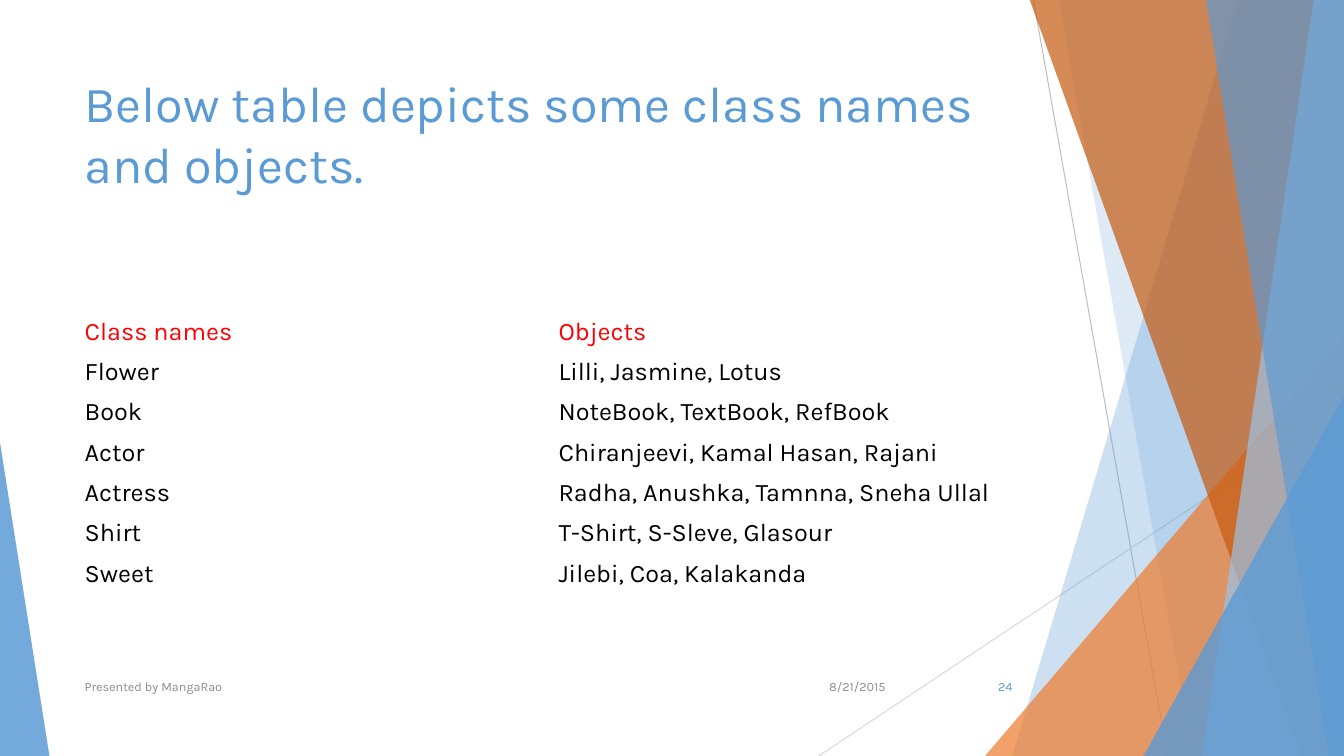
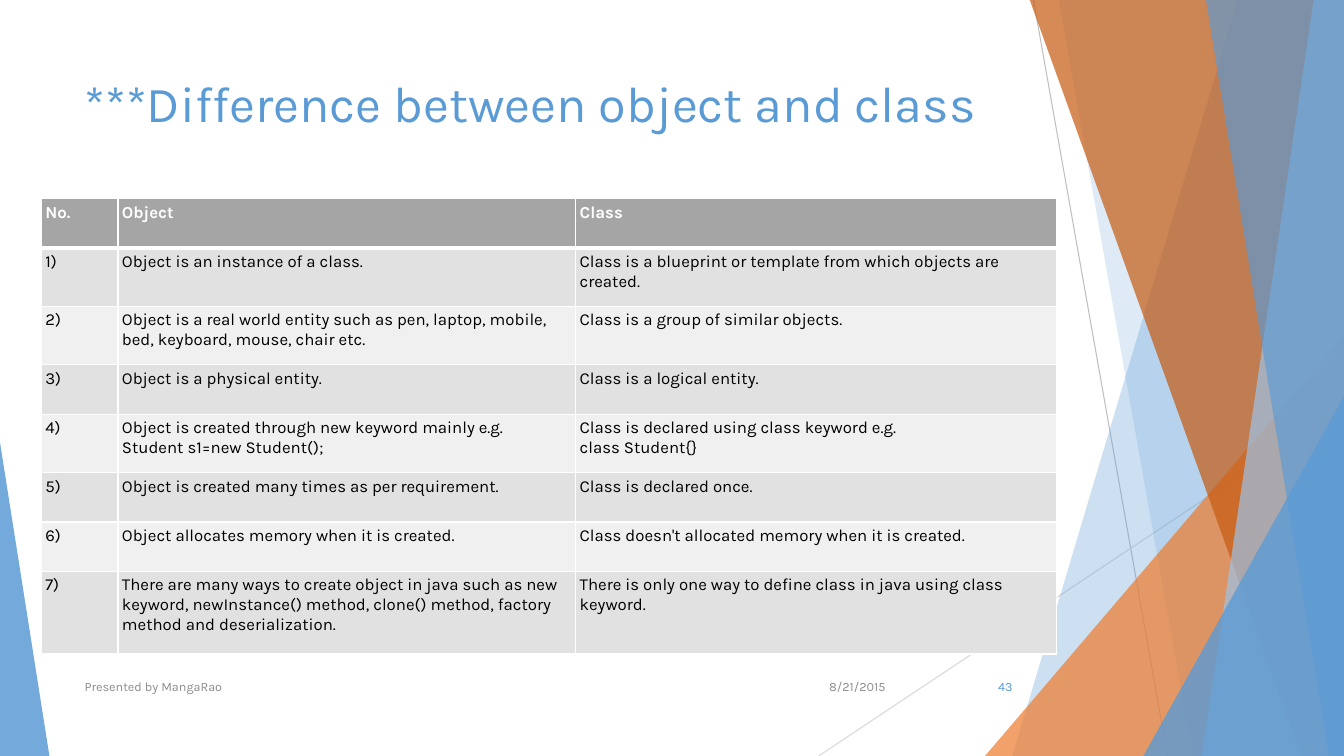
from dataclasses import dataclass

from lxml.etree import SubElement
from pptx import Presentation
from pptx.dml.color import RGBColor
from pptx.enum.shapes import MSO_CONNECTOR as Connector, MSO_SHAPE as Shape
from pptx.enum.text import MSO_ANCHOR as Anchor, PP_ALIGN as Align
from pptx.oxml.ns import qn
from pptx.util import Inches, Pt


@dataclass(frozen=True)
class Theme:
    font: str = "Karla"
    blue: str = "5B9BD5"
    sky: str = "9DC3E6"
    orange: str = "ED7D31"
    rust: str = "C55A11"
    red: str = "FF0000"
    black: str = "000000"
    white: str = "FFFFFF"
    muted: str = "8C8C8C"
    header: str = "A5A5A5"
    bands: tuple = ("E1E1E1", "F0F0F0")
    title_size: int = 36
    list_size: int = 18
    table_size: int = 12
    footer_size: int = 9


THEME = Theme()
WIDTH, HEIGHT = 13.33, 7.5
LEFT, CONTENT_WIDTH = 0.74, 9.4

RAYS = [
    ((10.25, 0), (11.58, HEIGHT), "BFBFBF"),
    ((WIDTH, 4.03), (8.12, HEIGHT), "D9D9D9"),
]
BACK_BANDS = [(12.28, 10.04, THEME.blue, 30), (10.5, 11.83, THEME.blue, 20)]
FRONT_BANDS = [
    (10.21, 12.91, THEME.rust, 70),
    (13.03, 11.92, THEME.sky, 70),
    (11.96, 13.18, THEME.blue, 65),
]
BACK_WEDGES = [(9.77, 3.33, 3.56, 1, THEME.orange, 72)]
FRONT_WEDGES = [
    (11.34, 3.93, 1.99, 1, THEME.blue, 80),
    (0, 4.39, 0.49, 0, THEME.blue, 85),
]

FOOTER_TOP, FOOTER_HEIGHT = 6.61, 0.4
PRESENTER = "Presented by MangaRao"
DATE = "8/21/2015"

EXAMPLES_TITLE = "Below table depicts some class names and objects."
EXAMPLES = [
    ("Class names", "Objects"),
    ("Flower", "Lilli, Jasmine, Lotus"),
    ("Book", "NoteBook, TextBook, RefBook"),
    ("Actor", "Chiranjeevi, Kamal Hasan, Rajani"),
    ("Actress", "Radha, Anushka, Tamnna, Sneha Ullal"),
    ("Shirt", "T-Shirt, S-Sleve, Glasour"),
    ("Sweet", "Jilebi, Coa, Kalakanda"),
]

DIFFERENCES_TITLE = "***Difference between object and class"
DIFFERENCE_HEADER = ("No.", "Object", "Class")
DIFFERENCES = [
    ("Object is an instance of a class.",
     "Class is a blueprint or template from which objects are created."),
    ("Object is a real world entity such as pen, laptop, mobile, bed, "
     "keyboard, mouse, chair etc.",
     "Class is a group of similar objects."),
    ("Object is a physical entity.", "Class is a logical entity."),
    ("Object is created through new keyword mainly e.g.\vStudent s1=new Student();",
     "Class is declared using class keyword e.g.\vclass Student{}"),
    ("Object is created many times as per requirement.", "Class is declared once."),
    ("Object allocates memory when it is created.",
     "Class doesn't allocated memory when it is created."),
    ("There are many ways to create object in java such as new keyword, "
     "newInstance() method, clone() method, factory method and deserialization.",
     "There is only one way to define class in java using class keyword."),
]
DIFFERENCE_COLUMNS = (0.76, 4.54, 4.77)
DIFFERENCE_ROWS = (0.49, 0.58, 0.58, 0.49, 0.58, 0.49, 0.49, 0.82)


def rgb(color):
    return RGBColor.from_string(color)


def write(frame, text, size, color, bold=False, align=Align.LEFT):
    frame.word_wrap = True
    para = frame.paragraphs[0]
    para.text = text
    para.alignment = align
    font = para.font
    font.name, font.size, font.bold = THEME.font, Pt(size), bold
    font.color.rgb = rgb(color)


def add_text(page, place, text, size, color, align=Align.LEFT, anchor=Anchor.TOP):
    box = page.shapes.add_textbox(*map(Inches, place))
    box.text_frame.vertical_anchor = anchor
    write(box.text_frame, text, size, color, align=align)


def tint(shape, color, opacity):
    shape.shadow.inherit = False
    shape.line.fill.background()
    shape.fill.solid()
    shape.fill.fore_color.rgb = rgb(color)
    value = shape.fill._xPr.find(".//" + qn("a:srgbClr"))
    SubElement(value, qn("a:alpha"), val=str(opacity * 1000))


def add_bands(group, bands):
    for top_x, bottom_x, color, opacity in bands:
        corners = [(WIDTH, -0.01), (WIDTH, HEIGHT), (bottom_x, HEIGHT)]
        outline = group.shapes.build_freeform(Inches(top_x), Inches(-0.01))
        outline.add_line_segments([(Inches(x), Inches(y)) for x, y in corners])
        tint(outline.convert_to_shape(), color, opacity)


def add_wedges(group, wedges):
    for left, top, width, apex, color, opacity in wedges:
        place = map(Inches, (left, top, width, HEIGHT - top))
        wedge = group.shapes.add_shape(Shape.ISOSCELES_TRIANGLE, *place)
        wedge.adjustments[0] = apex
        tint(wedge, color, opacity)


def add_backdrop(page):
    group = page.shapes.add_group_shape()
    for start, end, color in RAYS:
        ray = group.shapes.add_connector(Connector.STRAIGHT, *map(Inches, start + end))
        ray.line.color.rgb = rgb(color)
        ray.line.width = Pt(0.75)
        SubElement(ray._element.spPr, qn("a:effectLst"))
    add_bands(group, BACK_BANDS)
    add_wedges(group, BACK_WEDGES)
    add_bands(group, FRONT_BANDS)
    add_wedges(group, FRONT_WEDGES)


def add_page(deck, title, number):
    page = deck.slides.add_slide(deck.slide_layouts[6])
    add_backdrop(page)
    add_text(page, (LEFT, 0.67, CONTENT_WIDTH, 1.44), title, THEME.title_size, THEME.blue)
    footers = [
        (7.88, 1, DATE, THEME.muted, Align.RIGHT),
        (LEFT, 6.89, PRESENTER, THEME.muted, Align.LEFT),
        (9.39, 0.75, str(number), THEME.blue, Align.RIGHT),
    ]
    for left, width, text, color, align in footers:
        place = (left, FOOTER_TOP, width, FOOTER_HEIGHT)
        add_text(page, place, text, THEME.footer_size, color, align, Anchor.MIDDLE)
    return page


def add_grid(page, left, top, columns, rows):
    place = map(Inches, (left, top, sum(columns), sum(rows)))
    table = page.shapes.add_table(len(rows), len(columns), *place).table
    table.first_row = table.horz_banding = False
    for column, width in zip(table.columns, columns):
        column.width = Inches(width)
    for row, height in zip(table.rows, rows):
        row.height = Inches(height)
    return table


def add_borders(cell, top, bottom):
    properties = cell._tc.get_or_add_tcPr()
    for side, width in (("L", 1), ("R", 1), ("T", top), ("B", bottom)):
        line = SubElement(properties, qn("a:ln" + side), w=str(Pt(width)))
        fill = SubElement(line, qn("a:solidFill"))
        SubElement(fill, qn("a:srgbClr"), val=THEME.white)


def add_examples(page):
    table = add_grid(page, LEFT, 3.09, [CONTENT_WIDTH / 2] * 2, [0.39] * len(EXAMPLES))
    for row, texts in enumerate(EXAMPLES):
        for column, text in enumerate(texts):
            cell = table.cell(row, column)
            cell.fill.background()
            cell.vertical_anchor = Anchor.MIDDLE
            color = THEME.black if row else THEME.red
            write(cell.text_frame, text, THEME.list_size, color)


def add_differences(page):
    table = add_grid(page, 0.41, 1.97, DIFFERENCE_COLUMNS, DIFFERENCE_ROWS)
    numbered = [(f"{number})", *pair) for number, pair in enumerate(DIFFERENCES, 1)]
    for row, texts in enumerate([DIFFERENCE_HEADER, *numbered]):
        is_header = row == 0
        fill = THEME.header if is_header else THEME.bands[(row - 1) % 2]
        color = THEME.white if is_header else THEME.black
        for column, text in enumerate(texts):
            cell = table.cell(row, column)
            add_borders(cell, 3 if row == 1 else 1, 3 if is_header else 1)
            cell.fill.solid()
            cell.fill.fore_color.rgb = rgb(fill)
            cell.margin_left = cell.margin_right = Inches(0.04)
            cell.margin_top = cell.margin_bottom = Inches(0.04)
            write(cell.text_frame, text, THEME.table_size, color, bold=is_header)


def main():
    deck = Presentation()
    deck.slide_width, deck.slide_height = Inches(WIDTH), Inches(HEIGHT)
    add_examples(add_page(deck, EXAMPLES_TITLE, 24))
    add_differences(add_page(deck, DIFFERENCES_TITLE, 43))
    deck.save("out.pptx")


if __name__ == "__main__":
    main()
